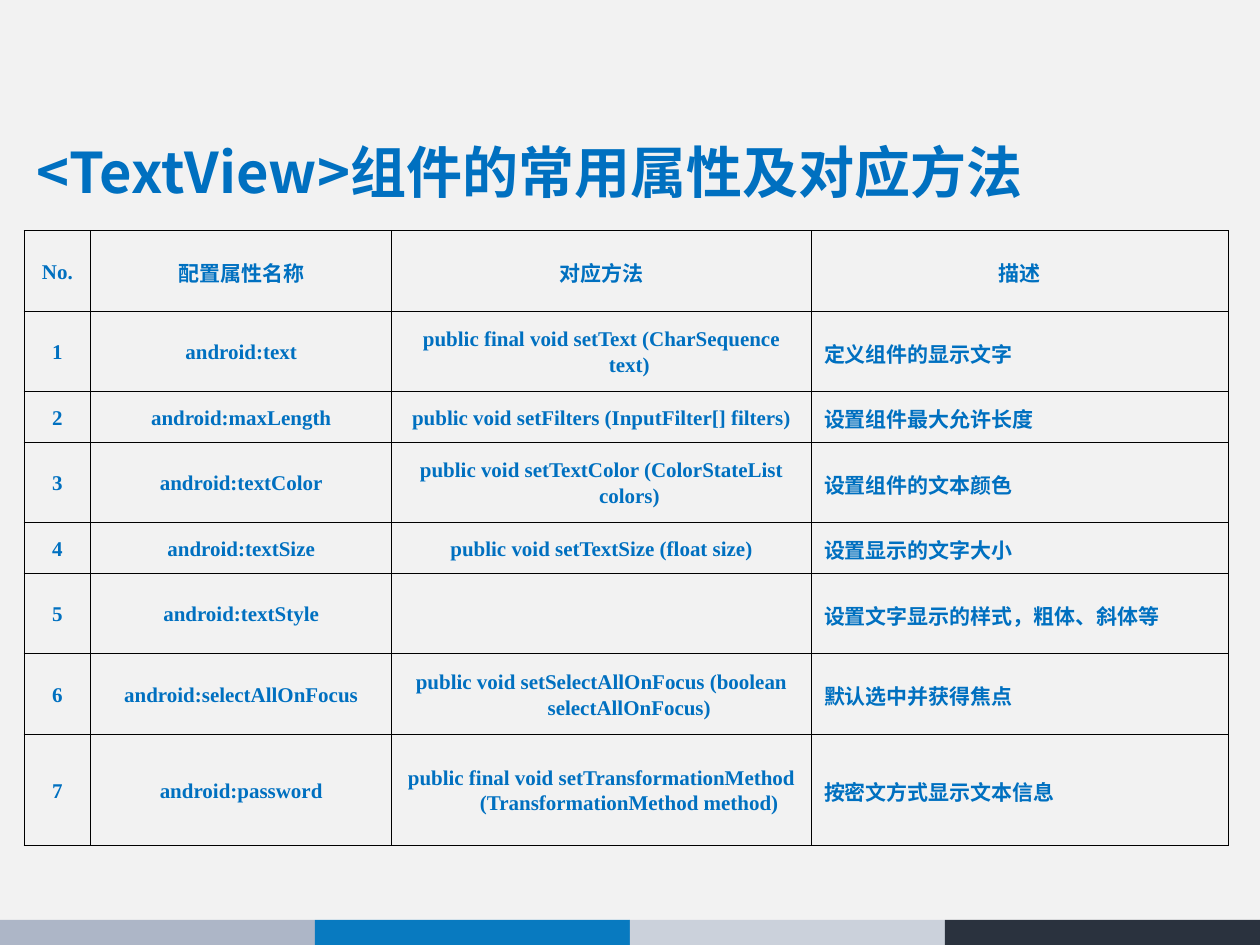
import pptx
import pptx.dml.color
import pptx.enum.shapes
import pptx.enum.text
import pptx.oxml
import pptx.oxml.ns
import pptx.util

Inches = pptx.util.Inches
RGBColor = pptx.dml.color.RGBColor
ALIGN = pptx.enum.text.PP_ALIGN
MIDDLE = pptx.enum.text.MSO_ANCHOR.MIDDLE

BACKGROUND = RGBColor(0xF2, 0xF2, 0xF2)
TEXT_BLUE = RGBColor(0x00, 0x70, 0xC0)
GRID_BLACK = RGBColor(0x00, 0x00, 0x00)
FOOTER_COLORS = [
    RGBColor(0xAD, 0xB6, 0xC7),
    RGBColor(0x08, 0x7A, 0xC0),
    RGBColor(0xCB, 0xD1, 0xDB),
    RGBColor(0x2A, 0x32, 0x3E),
]
CJK_FONT = "Noto Sans CJK SC"
LATIN_FONT = "Times New Roman"


def write_text(frame, text, size, font=LATIN_FONT, align=ALIGN.LEFT,
               line_spacing=1.0, space_before=0, hanging=0):
    paragraph = frame.paragraphs[0]
    paragraph.alignment = align
    paragraph.line_spacing = line_spacing
    paragraph.space_before = pptx.util.Pt(space_before)
    properties = paragraph._p.get_or_add_pPr()
    properties.set("marL", str(Inches(hanging)))
    properties.set("indent", str(-Inches(hanging)))
    run = paragraph.add_run()
    run.text = text
    run.font.size = pptx.util.Pt(size)
    run.font.bold = True
    run.font.name = font
    run.font.color.rgb = TEXT_BLUE
    east_asian = pptx.oxml.parse_xml(
        f'<a:ea {pptx.oxml.ns.nsdecls("a")} typeface="{CJK_FONT}"/>')
    run.font._element.find(pptx.oxml.ns.qn("a:latin")).addnext(east_asian)


def add_borders(cell, color, width):
    properties = cell._tc.get_or_add_tcPr()
    for position, side in enumerate(("lnL", "lnR", "lnT", "lnB")):
        properties.insert(position, pptx.oxml.parse_xml(
            f'<a:{side} {pptx.oxml.ns.nsdecls("a")} w="{pptx.util.Pt(width)}">'
            f'<a:solidFill><a:srgbClr val="{color}"/></a:solidFill></a:{side}>'))


deck = pptx.Presentation()
deck.slide_width, deck.slide_height = Inches(10), Inches(7.5)
slide = deck.slides.add_slide(deck.slide_layouts[6])
slide.background.fill.solid()
slide.background.fill.fore_color.rgb = BACKGROUND

# Footer band
for index, color in enumerate(FOOTER_COLORS):
    band = slide.shapes.add_shape(
        pptx.enum.shapes.MSO_SHAPE.RECTANGLE,
        Inches(2.5 * index), Inches(7.3), Inches(2.5), Inches(0.2))
    band.shadow.inherit = False
    band.fill.solid()
    band.fill.fore_color.rgb = color
    band.line.fill.background()

# Title
title = slide.shapes.add_textbox(
    Inches(0.19), Inches(0.96), Inches(9.57), Inches(0.86)).text_frame
title.word_wrap = True
title.vertical_anchor = MIDDLE
write_text(title, "<TextView>组件的常用属性及对应方法", size=32, font=CJK_FONT,
           line_spacing=0.9)

# Attribute table
HEADER = ("No.", "配置属性名称", "对应方法", "描述")
ATTRIBUTES = [
    ("android:text", "public final void setText (CharSequence text)",
     "定义组件的显示文字"),
    ("android:maxLength", "public void setFilters (InputFilter[] filters)",
     "设置组件最大允许长度"),
    ("android:textColor", "public void setTextColor (ColorStateList colors)",
     "设置组件的文本颜色"),
    ("android:textSize", "public void setTextSize (float size)",
     "设置显示的文字大小"),
    ("android:textStyle", "", "设置文字显示的样式，粗体、斜体等"),
    ("android:selectAllOnFocus",
     "public void setSelectAllOnFocus (boolean selectAllOnFocus)",
     "默认选中并获得焦点"),
    ("android:password",
     "public final void setTransformationMethod (TransformationMethod method)",
     "按密文方式显示文本信息"),
]
COLUMN_WIDTHS = [0.53, 2.39, 3.33, 3.31]
ROW_HEIGHTS = [0.64, 0.64, 0.4, 0.64, 0.4, 0.64, 0.64, 0.88]

rows = [HEADER] + [(str(number), *attribute)
                   for number, attribute in enumerate(ATTRIBUTES, 1)]
table = slide.shapes.add_table(
    len(rows), len(HEADER), Inches(0.19), Inches(1.83),
    Inches(sum(COLUMN_WIDTHS)), Inches(sum(ROW_HEIGHTS))).table
table.first_row = False
table.horz_banding = False
for column, width in zip(table.columns, COLUMN_WIDTHS):
    column.width = Inches(width)
for row, height in zip(table.rows, ROW_HEIGHTS):
    row.height = Inches(height)

for row_index, values in enumerate(rows):
    for column_index, value in enumerate(values):
        cell = table.cell(row_index, column_index)
        cell.vertical_anchor = MIDDLE
        cell.fill.background()
        add_borders(cell, GRID_BLACK, width=0.45)
        is_description = row_index > 0 and column_index == 3
        if value:
            write_text(cell.text_frame, value, size=12,
                       align=ALIGN.JUSTIFY if is_description else ALIGN.CENTER,
                       line_spacing=1.1, space_before=12, hanging=0.44)

deck.save("out.pptx")
